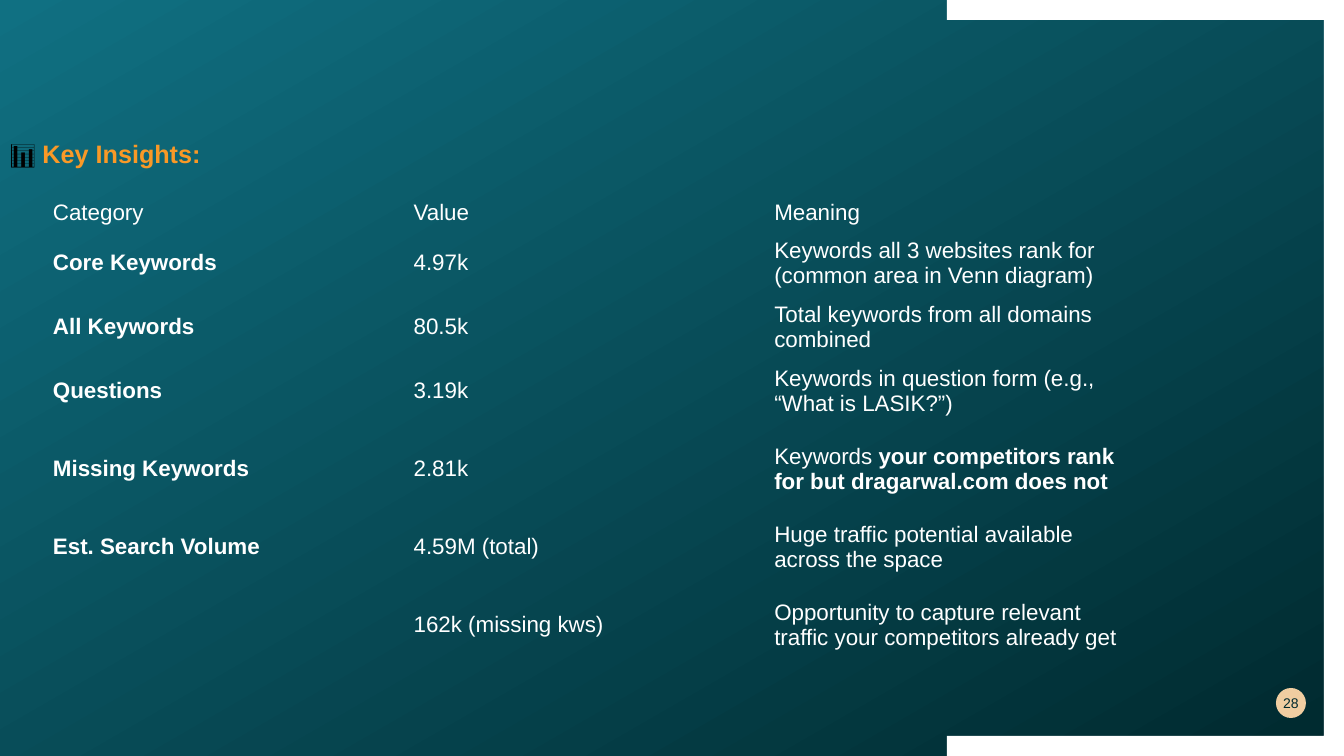
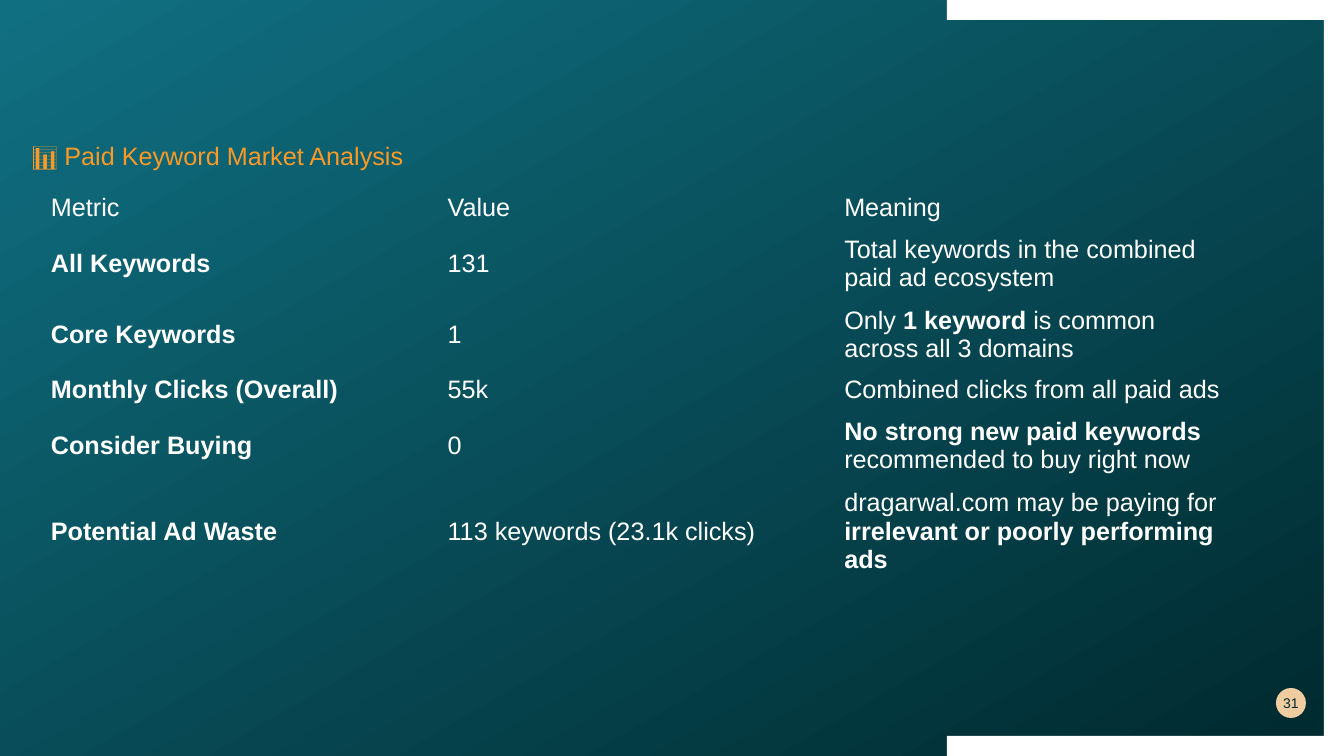
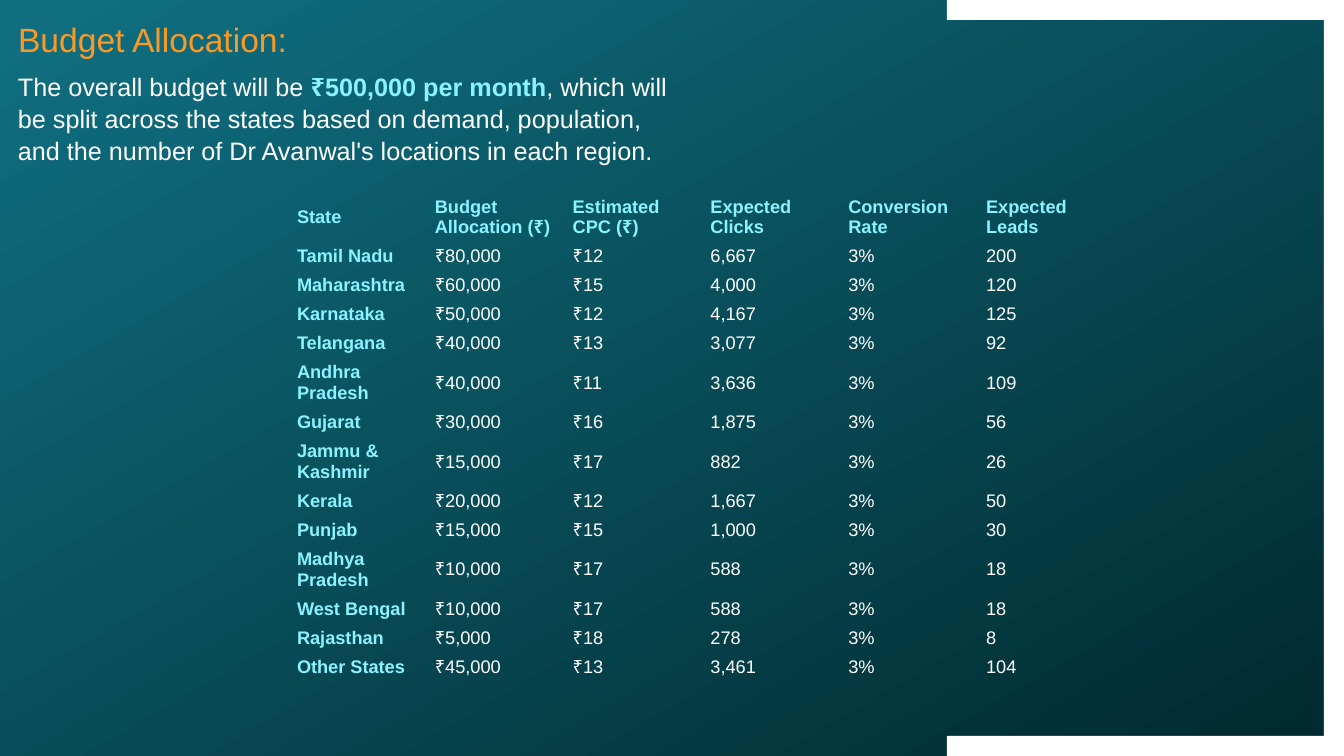
from pptx import Presentation
from pptx.dml.color import RGBColor
from pptx.enum.shapes import MSO_SHAPE as SHAPE
from pptx.enum.text import MSO_ANCHOR as ANCHOR, MSO_AUTO_SIZE as AUTOSIZE, PP_ALIGN as ALIGN
from pptx.util import Emu, Pt

PX_PER_INCH = 100.8
WIDTH, HEIGHT = 1344, 756
FONT = "Arial"
NO_GRID_STYLE = "{2D5ABB26-0587-4C30-8999-92F81FD0307C}"
COLORS = {
    "dark": "00292E",
    "teal": "107082",
    "white": "FFFFFF",
    "black": "000000",
    "orange": "F99927",
    "aqua": "8BF2FF",
    "sand": "F0CDA1",
}


def px(n):
    return Emu(round(n * 914400 / PX_PER_INCH))


def rgb(name):
    return RGBColor.from_string(COLORS[name])


def write(tf, text, size=18, color="white", bold=False, strong_color=None,
          align=ALIGN.LEFT, spacing=None):
    """Fill a text frame; parts between ** marks are bold, in strong_color if given."""
    p = tf.paragraphs[0]
    p.alignment = align
    if spacing:
        p.line_spacing = spacing
    p.font.size = Pt(size)
    for i, part in enumerate(text.split("**")):
        if not part:
            continue
        strong = i % 2 == 1
        r = p.add_run()
        r.text = part
        r.font.name = FONT
        r.font.size = Pt(size)
        r.font.bold = bold or strong
        r.font.color.rgb = rgb(strong_color if strong and strong_color else color)


class Deck:
    def __init__(self):
        self.prs = Presentation()
        self.prs.slide_width, self.prs.slide_height = px(WIDTH), px(HEIGHT)
        self.layout = self.prs.slide_layouts[5]
        self.slide = None

    def new_slide(self):
        first = self.slide is None
        self.slide = self.prs.slides.add_slide(self.layout)
        if first:
            self.decorate_layout()

    def decorate_layout(self):
        """Draw the backdrop and bracket once and move them to the shared layout."""
        for i, sp in enumerate((self.backdrop(), self.bracket())):
            sp.element.nvSpPr.cNvPr.set("id", str(100 + i))
            self.layout.shapes.element.append(sp.element)

    def shape(self, kind, x, y, w, h):
        sp = self.slide.shapes.add_shape(kind, px(x), px(y), px(w), px(h))
        sp.shadow.inherit = False
        sp.line.fill.background()
        return sp

    def backdrop(self):
        sp = self.shape(SHAPE.RECTANGLE, 0, 0, WIDTH, HEIGHT)
        sp.fill.gradient()
        sp.fill.gradient_angle = 120
        for stop, name in zip(sp.fill.gradient_stops, ("dark", "teal")):
            stop.color.rgb = rgb(name)
        return sp

    def bracket(self):
        left, band = 947, 20
        right, bottom = WIDTH - band, HEIGHT - band
        points = [(WIDTH, 0), (WIDTH, HEIGHT), (left, HEIGHT), (left, bottom),
                  (right, bottom), (right, band), (left, band)]
        builder = self.slide.shapes.build_freeform(px(left), 0)
        builder.add_line_segments([(px(x), px(y)) for x, y in points], close=True)
        sp = builder.convert_to_shape()
        sp.shadow.inherit = False
        sp.fill.solid()
        sp.fill.fore_color.rgb = rgb("white")
        sp.line.fill.background()
        return sp

    def title(self, text, x, y, h=40, **style):
        sp = self.slide.shapes.title
        sp.left, sp.top, sp.width, sp.height = px(x), px(y), px(672), px(h)
        tf = sp.text_frame
        tf.auto_size = AUTOSIZE.NONE
        tf.vertical_anchor = ANCHOR.TOP
        write(tf, text, spacing=1.07, **{"color": "orange", **style})

    def text(self, text, x, y, w, h, **style):
        tf = self.slide.shapes.add_textbox(px(x), px(y), px(w), px(h)).text_frame
        tf.word_wrap = True
        write(tf, text, **style)

    def page_number(self, number):
        sp = self.shape(SHAPE.OVAL, 1276, 688, 30, 30)
        sp.fill.solid()
        sp.fill.fore_color.rgb = rgb("sand")
        tf = sp.text_frame
        tf.margin_left = tf.margin_right = tf.margin_top = tf.margin_bottom = 0
        tf.vertical_anchor = ANCHOR.MIDDLE
        write(tf, str(number), size=10, color="dark", align=ALIGN.CENTER)

    def table(self, rows, x, y, w, heights, size, margins=(10, 5),
              label_color="white", bold_head=False):
        """Add a table whose first column, and header if bold_head, are bold labels."""
        n_cols = len(rows[0])
        frame = self.slide.shapes.add_table(len(rows), n_cols, px(x), px(y),
                                            px(w), px(sum(heights)))
        tbl = frame.table
        tbl.first_row = tbl.horz_banding = False
        frame.element.graphic.graphicData.tbl.tblPr.find("{*}tableStyleId").text = NO_GRID_STYLE
        for col in tbl.columns:
            col.width = px(w / n_cols)
        for i, (values, h) in enumerate(zip(rows, heights)):
            tbl.rows[i].height = px(h)
            for j, value in enumerate(values):
                cell = tbl.cell(i, j)
                cell.fill.background()
                cell.vertical_anchor = ANCHOR.MIDDLE
                cell.margin_left = cell.margin_right = px(margins[0])
                cell.margin_top = cell.margin_bottom = px(margins[1])
                label = bold_head if i == 0 else j == 0
                write(cell.text_frame, value, size=size, bold=label,
                      color=label_color if label else "white")


INSIGHTS = [
    ("Category", "Value", "Meaning"),
    ("Core Keywords", "4.97k", "Keywords all 3 websites rank for (common area in Venn diagram)"),
    ("All Keywords", "80.5k", "Total keywords from all domains combined"),
    ("Questions", "3.19k", "Keywords in question form (e.g., “What is LASIK?”)"),
    ("Missing Keywords", "2.81k",
     "Keywords **your competitors rank for but dragarwal.com does not**"),
    ("Est. Search Volume", "4.59M (total)", "Huge traffic potential available across the space"),
    ("", "162k (missing kws)",
     "Opportunity to capture relevant traffic your competitors already get"),
]

PAID_KEYWORDS = [
    ("Metric", "Value", "Meaning"),
    ("All Keywords", "131", "Total keywords in the combined paid ad ecosystem"),
    ("Core Keywords", "1", "Only **1 keyword** is common across all 3 domains"),
    ("Monthly Clicks (Overall)", "55k", "Combined clicks from all paid ads"),
    ("Consider Buying", "0", "**No strong new paid keywords** recommended to buy right now"),
    ("Potential Ad Waste", "113 keywords (23.1k clicks)",
     "dragarwal.com may be paying for **irrelevant or poorly performing ads**"),
]

BUDGET_HEAD = ("State", "Budget Allocation (₹)", "Estimated CPC (₹)",
               "Expected Clicks", "Conversion Rate", "Expected Leads")
# State, budget, cost per click, clicks, leads
BUDGETS = [
    ("Tamil Nadu", 80000, 12, 6667, 200),
    ("Maharashtra", 60000, 15, 4000, 120),
    ("Karnataka", 50000, 12, 4167, 125),
    ("Telangana", 40000, 13, 3077, 92),
    ("Andhra Pradesh", 40000, 11, 3636, 109),
    ("Gujarat", 30000, 16, 1875, 56),
    ("Jammu & Kashmir", 15000, 17, 882, 26),
    ("Kerala", 20000, 12, 1667, 50),
    ("Punjab", 15000, 15, 1000, 30),
    ("Madhya Pradesh", 10000, 17, 588, 18),
    ("West Bengal", 10000, 17, 588, 18),
    ("Rajasthan", 5000, 18, 278, 8),
    ("Other States", 45000, 13, 3461, 104),
]


def key_insights(deck):
    deck.new_slide()
    deck.title("📊 **Key Insights:**", 0, 131, color="black", bold=True, strong_color="orange")
    deck.table(INSIGHTS, 44, 195, 1082, [36, 64, 64, 64, 92, 64, 92], size=16, margins=(9, 5))
    deck.page_number(28)


def paid_keywords(deck):
    deck.new_slide()
    deck.title("📊 Paid Keyword Market Analysis", 22, 133)
    deck.table(PAID_KEYWORDS, 41, 188, 1190, [40, 71, 71, 40, 71, 101], size=18)
    deck.page_number(31)


def budget_allocation(deck):
    deck.new_slide()
    deck.title("Budget Allocation:", 8, 11, h=50, size=24)
    deck.text("The overall budget will be **₹500,000 per month**, which will be split across "
              "the states based on demand, population, and the number of Dr Avanwal's "
              "locations in each region.",
              8, 64, 672, 102, strong_color="aqua", spacing=1.07)
    rows = [BUDGET_HEAD] + [
        (state, f"₹{budget:,}", f"₹{cpc}", f"{clicks:,}", "3%", str(leads))
        for state, budget, cpc, clicks, leads in BUDGETS]
    heights = [50] + [50 if len(row[0]) > 12 else 29 for row in BUDGETS]
    deck.table(rows, 290, 192, 827, heights, size=13, margins=(7, 3),
               label_color="aqua", bold_head=True)


def main():
    deck = Deck()
    key_insights(deck)
    paid_keywords(deck)
    budget_allocation(deck)
    deck.prs.save("out.pptx")


if __name__ == "__main__":
    main()
